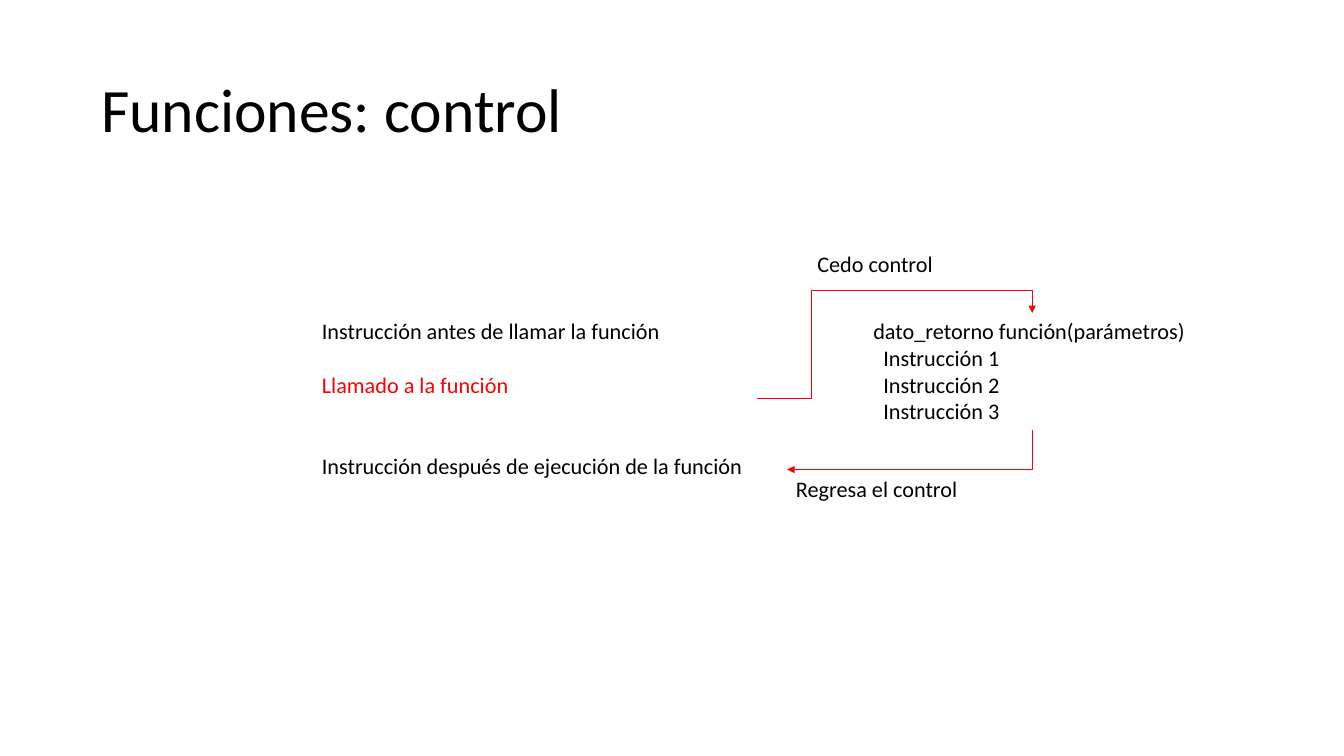
from lxml import etree
from pptx import Presentation
from pptx.dml.color import RGBColor
from pptx.enum.shapes import MSO_CONNECTOR
from pptx.enum.text import MSO_ANCHOR, MSO_AUTO_SIZE
from pptx.oxml.ns import qn
from pptx.util import Inches, Pt

ELBOW = MSO_CONNECTOR.ELBOW
MIDDLE = MSO_ANCHOR.MIDDLE
GROW = MSO_AUTO_SIZE.SHAPE_TO_FIT_TEXT
BLACK = RGBColor(0, 0, 0)
RED = RGBColor(255, 0, 0)
TOP, BOTTOM, RIGHT = 0, 2, 3
LINE_HEIGHT = 22

prs = Presentation()
prs.slide_width = Inches(15.11)
prs.slide_height = Inches(8.5)
X = prs.slide_width / 100
Y = prs.slide_height / 100
s = prs.slides.add_slide(prs.slide_layouts[6])


def add_text(x, y, w, h, lines, size=18):
    """Place lines of (text, colour, skipped lines) at percentages of the slide."""
    sp = s.shapes.add_textbox(int(x * X), int(y * Y), int(w * X), int(h * Y))
    tf = sp.text_frame
    tf.word_wrap = False
    for i, (text, color, skipped) in enumerate(lines):
        p = tf.paragraphs[0] if i == 0 else tf.add_paragraph()
        p.text = text
        if skipped:
            p.space_before = Pt(skipped * LINE_HEIGHT)
        font = p.runs[0].font
        font.name = "Calibri"
        font.size = Pt(size)
        font.color.rgb = color
    return sp


def style_arrow(arrow, preset, adjustments=()):
    """Give an elbow its bend preset, a thin red line and an arrowhead."""
    arrow.line.color.rgb = RED
    arrow.line.width = Pt(0.5)
    spPr = arrow.line._get_or_add_ln().getparent()
    etree.SubElement(spPr.find(qn("a:ln")), qn("a:tailEnd"), type="triangle")
    etree.SubElement(spPr, qn("a:effectLst"))
    geom = spPr.find(qn("a:prstGeom"))
    geom.set("prst", preset)
    guides = geom.find(qn("a:avLst"))
    for i, value in enumerate(adjustments, 1):
        etree.SubElement(guides, qn("a:gd"), name=f"adj{i}", fmla=f"val {value}")
    return spPr.find(qn("a:xfrm"))


title = add_text(6.88, 5.29, 86.24, 19.29, [("Funciones: control", BLACK, 0)], 49.9)
title.text_frame.word_wrap = True
title.text_frame.vertical_anchor = MIDDLE
title.text_frame.paragraphs[0].line_spacing = 0.9

caller = add_text(23.3, 41.41, 33.02, 22.59, [
    ("Instrucción antes de llamar la función", BLACK, 0),
    ("Llamado a la función", RED, 1),
    ("Instrucción después de ejecución de la función", BLACK, 2),
])
function = add_text(64.33, 41.41, 24.95, 15.41, [
    ("dato_retorno función(parámetros)", BLACK, 0),
    *[(f"  Instrucción {n}", BLACK, 0) for n in (1, 2, 3)],
])
yield_label = add_text(60.16, 32.47, 10.06, 4.71, [("Cedo control", BLACK, 0)])
return_label = add_text(58.57, 62.24, 13.5, 4.71, [("Regresa el control", BLACK, 0)])
for sp in (caller, function, yield_label, return_label):
    sp.text_frame.auto_size = GROW

# Control passes from the caller to the function
call = s.shapes.add_connector(ELBOW, 0, 0, 0, 0)
call.begin_connect(caller, RIGHT)
call.end_connect(function, TOP)
style_arrow(call, "bentConnector4", (19600, 126100))

# Control returns: down, then left, as a bend turned by a quarter
start_x = function.left + function.width // 2
start_y = function.top + function.height
end_x, end_y = return_label.left, int(62.12 * Y)
run, drop = start_x - end_x, end_y - start_y
left = (start_x + end_x - drop) // 2
top = (start_y + end_y - run) // 2
back = s.shapes.add_connector(ELBOW, 0, 0, 0, 0)
back.begin_connect(function, BOTTOM)
back.begin_x, back.begin_y = left, top
back.end_x, back.end_y = left + drop, top + run
style_arrow(back, "bentConnector2").set("rot", str(90 * 60000))

prs.save("out.pptx")
